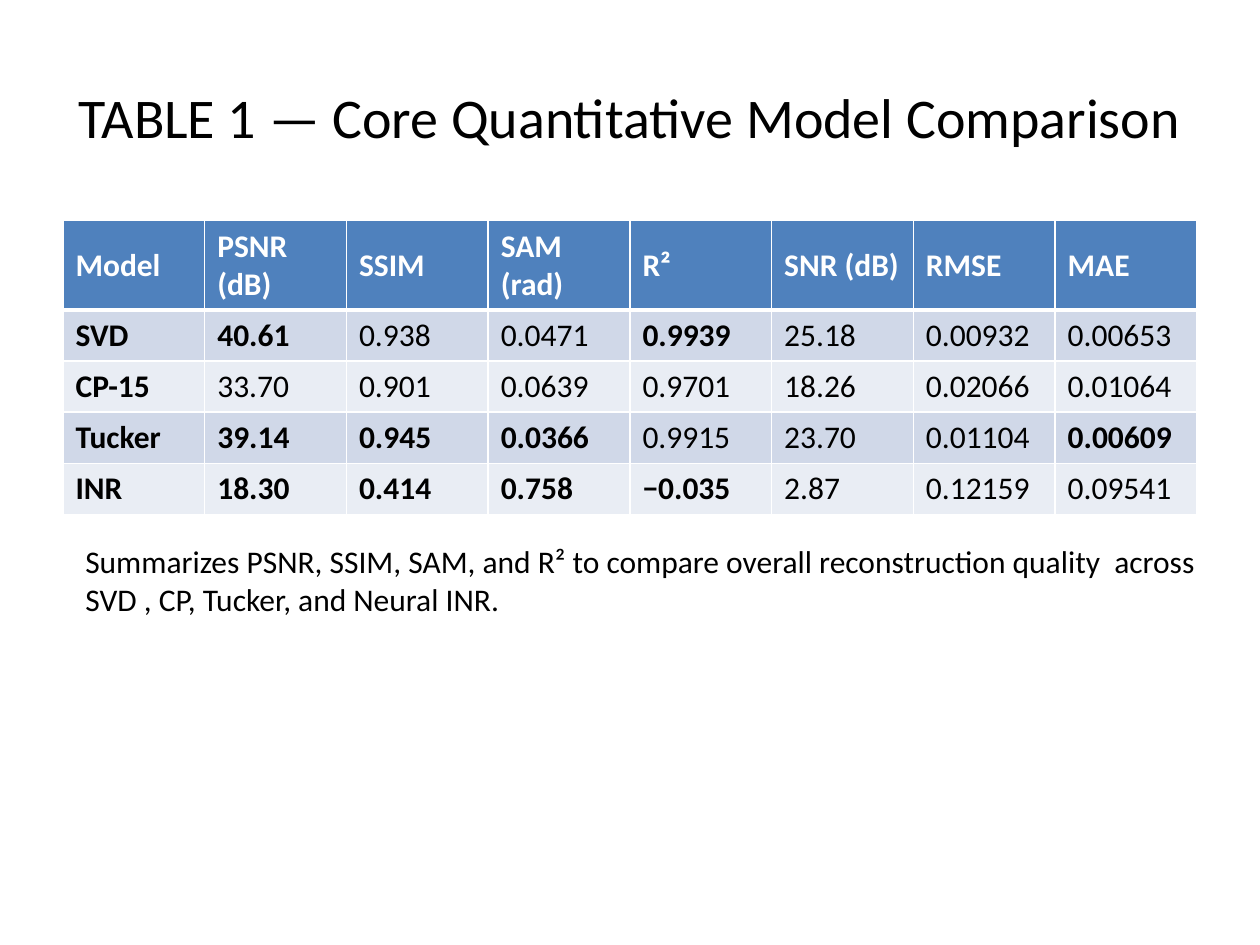
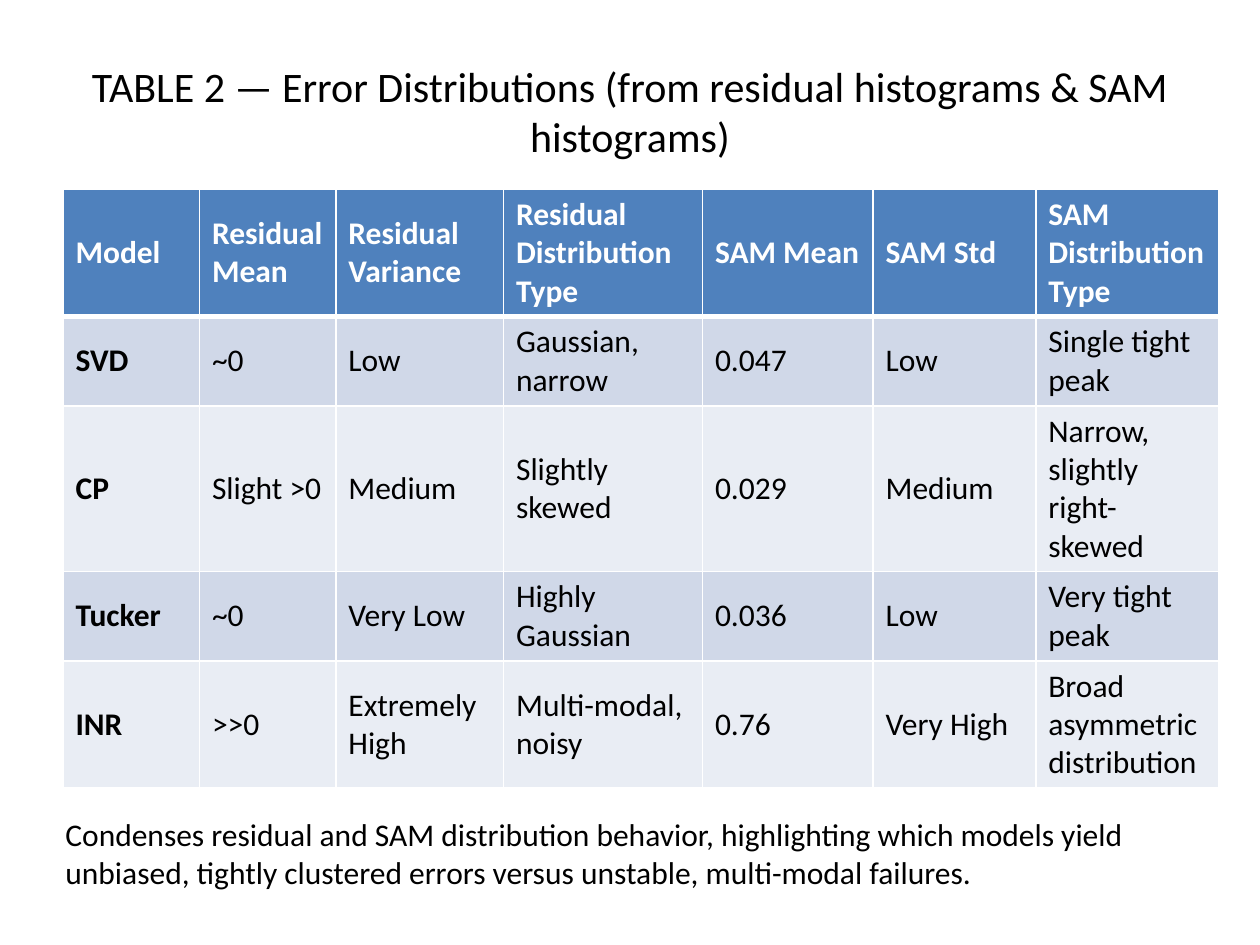
import pptx
import pptx.dml.color
import pptx.enum.text
import pptx.oxml
import pptx.oxml.ns
import pptx.util
from dataclasses import dataclass

Cm, Pt = pptx.util.Cm, pptx.util.Pt
ALIGN, ANCHOR = pptx.enum.text.PP_ALIGN, pptx.enum.text.MSO_ANCHOR

# Content: "bold" lists (row, column) cells besides the header and model names;
# "lines" is the number of text lines in each row; all lengths are in cm
SLIDES = [
    {
        "title": "TABLE 1 — Core Quantitative Model Comparison",
        "title_size": 32,
        "title_top": 0.76,
        "rows": [
            ("Model", "PSNR (dB)", "SSIM", "SAM (rad)", "R²", "SNR (dB)", "RMSE", "MAE"),
            ("SVD", "40.61", "0.938", "0.0471", "0.9939", "25.18", "0.00932", "0.00653"),
            ("CP-15", "33.70", "0.901", "0.0639", "0.9701", "18.26", "0.02066", "0.01064"),
            ("Tucker", "39.14", "0.945", "0.0366", "0.9915", "23.70", "0.01104", "0.00609"),
            ("INR", "18.30", "0.414", "0.758", "−0.035", "2.87", "0.12159", "0.09541"),
        ],
        "bold": {(1, 1), (1, 4), (3, 1), (3, 2), (3, 3), (3, 7),
                 (4, 1), (4, 2), (4, 3), (4, 4)},
        "lines": (2, 1, 1, 1, 1),
        "table_top": 4.45,
        "widths": [22.86 / 8] * 8,
        "caption": "Summarizes PSNR, SSIM, SAM, and R² to compare overall reconstruction "
                   "quality  across SVD , CP, Tucker, and Neural INR.",
        "caption_at": (1.47, 10.8),
    },
    {
        "title": "TABLE 2 — Error Distributions (from residual histograms & SAM histograms)",
        "title_size": 24,
        "title_top": 0.64,
        "rows": [
            ("Model", "Residual Mean", "Residual Variance", "Residual Distribution Type",
             "SAM Mean", "SAM Std", "SAM Distribution Type"),
            ("SVD", "~0", "Low", "Gaussian, narrow", "0.047", "Low", "Single tight peak"),
            ("CP", "Slight >0", "Medium", "Slightly skewed", "0.029", "Medium",
             "Narrow, slightly right-skewed"),
            ("Tucker", "~0", "Very Low", "Highly Gaussian", "0.036", "Low", "Very tight peak"),
            ("INR", ">>0", "Extremely High", "Multi-modal, noisy", "0.76", "Very High",
             "Broad asymmetric distribution"),
        ],
        "bold": set(),
        "lines": (3, 2, 4, 2, 3),
        "table_top": 3.81,
        "widths": [2.75, 2.75, 3.38, 4.01, 3.44, 3.28, 3.69],
        "caption": "Condenses residual and SAM distribution behavior, highlighting which "
                   "models yield unbiased, tightly clustered errors versus unstable, "
                   "multi-modal failures.",
        "caption_at": (1.07, 16.31),
    },
]


@dataclass(frozen=True)
class Theme:
    font: str = "Calibri"
    text: str = "000000"
    header_text: str = "FFFFFF"
    header: str = "4F81BD"
    bands: tuple = ("D0D8E8", "E9EDF4")
    rule: str = "FFFFFF"
    thin: int = 1
    thick: int = 3
    body_size: int = 18


THEME = Theme()
SLIDE_W, SLIDE_H = 25.4, 19.05
MARGIN = 1.27
TITLE_H, CAPTION_H = 3.18, 1.8
LINE_H, CELL_PADDING = 0.77, 0.26


def rgb(value):
    return pptx.dml.color.RGBColor.from_string(value)


def put_text(frame, text, size=THEME.body_size, color=THEME.text, bold=False,
             align=ALIGN.LEFT, anchor=ANCHOR.TOP):
    frame.word_wrap = True
    frame.vertical_anchor = anchor
    line = frame.paragraphs[0]
    line.alignment = align
    run = line.add_run()
    run.text = text
    run.font.name, run.font.size, run.font.bold = THEME.font, Pt(size), bold
    run.font.color.rgb = rgb(color)


def add_text(slide, text, left, top, width, height, **style):
    box = slide.shapes.add_textbox(Cm(left), Cm(top), Cm(width), Cm(height))
    put_text(box.text_frame, text, **style)


def set_borders(cell, top, bottom):
    """Rule the four sides; border elements precede the fill."""
    sides = {"lnL": THEME.thin, "lnR": THEME.thin, "lnT": top, "lnB": bottom}
    properties = cell._tc.get_or_add_tcPr()
    for place, (side, points) in enumerate(sides.items()):
        properties.insert(place, pptx.oxml.parse_xml(
            f'<a:{side} {pptx.oxml.ns.nsdecls("a")} w="{Pt(points)}"><a:solidFill>'
            f'<a:srgbClr val="{THEME.rule}"/></a:solidFill></a:{side}>'))


def add_comparison(slide, content):
    rows, widths = content["rows"], content["widths"]
    heights = [CELL_PADDING + LINE_H * lines for lines in content["lines"]]
    table = slide.shapes.add_table(
        len(rows), len(widths), Cm(MARGIN), Cm(content["table_top"]),
        Cm(sum(widths)), Cm(sum(heights))).table
    table.horz_banding = False
    for column, width in zip(table.columns, widths):
        column.width = Cm(width)
    for r, (values, height) in enumerate(zip(rows, heights)):
        table.rows[r].height = Cm(height)
        header = r == 0
        for c, value in enumerate(values):
            cell = table.cell(r, c)
            put_text(cell.text_frame, value,
                     color=THEME.header_text if header else THEME.text,
                     bold=header or c == 0 or (r, c) in content["bold"])
            cell.vertical_anchor = ANCHOR.MIDDLE
            cell.fill.solid()
            cell.fill.fore_color.rgb = rgb(
                THEME.header if header else THEME.bands[(r - 1) % 2])
            set_borders(cell, top=THEME.thick if r == 1 else THEME.thin,
                        bottom=THEME.thick if header else THEME.thin)


def main():
    deck = pptx.Presentation()
    deck.slide_width, deck.slide_height = Cm(SLIDE_W), Cm(SLIDE_H)
    for content in SLIDES:
        slide = deck.slides.add_slide(deck.slide_layouts[6])
        # Title
        add_text(slide, content["title"], MARGIN, content["title_top"],
                 SLIDE_W - 2 * MARGIN, TITLE_H, size=content["title_size"],
                 align=ALIGN.CENTER, anchor=ANCHOR.MIDDLE)
        # Table
        add_comparison(slide, content)
        # Caption, running to the right edge
        left, top = content["caption_at"]
        add_text(slide, content["caption"], left, top, SLIDE_W - left, CAPTION_H)
    deck.save("out.pptx")


if __name__ == "__main__":
    main()
